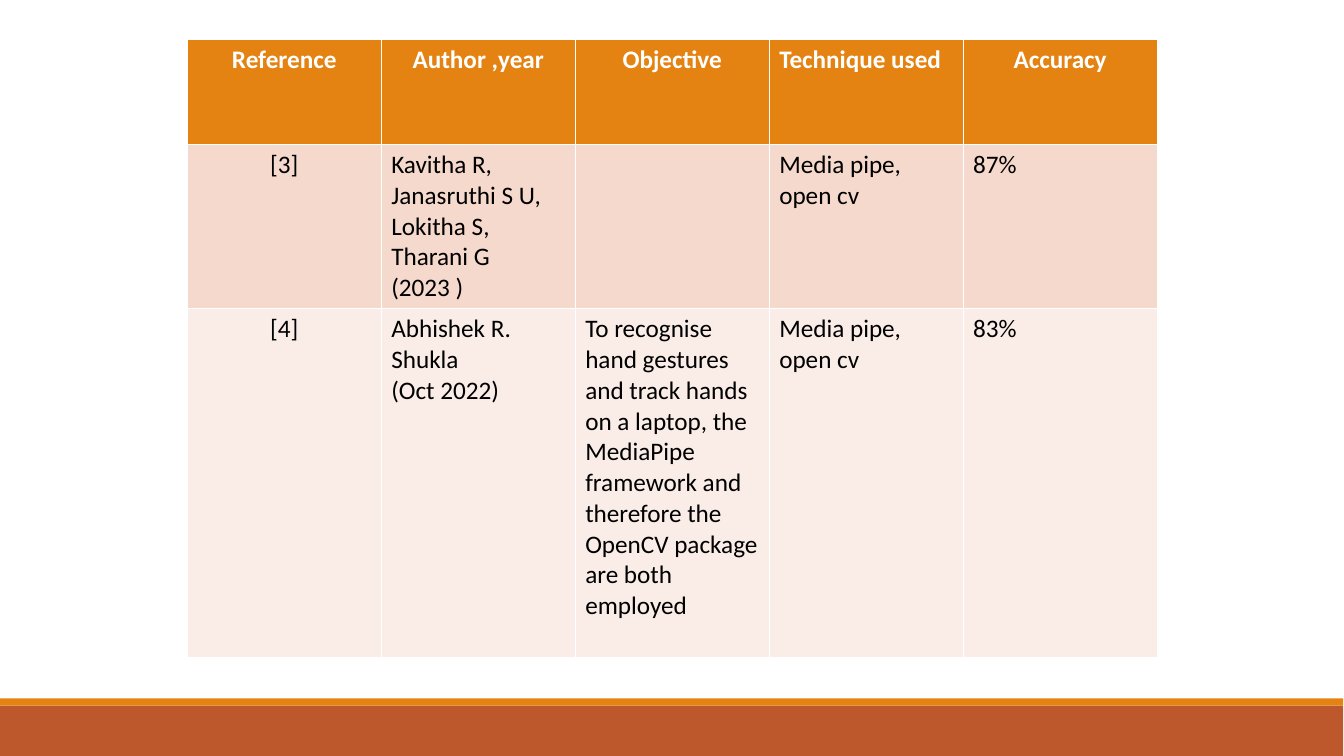
from dataclasses import dataclass

from lxml.etree import SubElement
from pptx import Presentation
from pptx.dml.color import RGBColor
from pptx.enum.shapes import MSO_SHAPE
from pptx.enum.text import PP_ALIGN
from pptx.oxml.ns import qn
from pptx.slide import Slide
from pptx.table import _Cell
from pptx.util import Cm, Pt

WHITE, BLACK = "FFFFFF", "000000"
ORANGE, RUST = "E48312", "BD582C"
THIN, THICK = 0.45, 1.47
WIDTH, HEIGHT = 33.88, 19.05
LEFT, TOP, COL = 4.72, 1.0, 4.89


@dataclass
class Bar:
    top: float
    height: float
    color: str


@dataclass
class Row:
    height: float
    fill: str
    texts: list[str]
    centred: set[int]
    ink: str = BLACK
    bold: bool = False
    upper: float = THIN
    lower: float = THIN


BARS = [Bar(17.78, 1.27, RUST), Bar(17.6, 0.18, ORANGE)]

ROWS = [
    Row(2.64, ORANGE,
        ["Reference", "Author ,year", "Objective", "Technique used", "Accuracy"],
        {0, 1, 2, 4}, ink=WHITE, bold=True, lower=THICK),
    Row(4.14, "F5D9CC",
        ["[3]", "Kavitha R, Janasruthi S U, Lokitha S, Tharani G\n(2023 )", "",
         "Media pipe, open cv", "87%"],
        {0}, upper=THICK),
    Row(8.79, "FAEDE7",
        ["[4]", "Abhishek R. Shukla\n(Oct 2022)",
         "To recognise hand gestures and track hands on a laptop, the MediaPipe "
         "framework and therefore the OpenCV package are both employed",
         "Media pipe, open cv", "83%"],
        {0}),
]


def rgb(code: str) -> RGBColor:
    return RGBColor.from_string(code)


def draw_bar(slide: Slide, bar: Bar) -> None:
    shape = slide.shapes.add_shape(
        MSO_SHAPE.RECTANGLE, Cm(0), Cm(bar.top), Cm(33.86), Cm(bar.height))
    shape.shadow.inherit = False
    shape.fill.solid()
    shape.fill.fore_color.rgb = rgb(bar.color)
    shape.line.fill.background()


def set_edges(cell: _Cell, row: Row) -> None:
    """Give the cell white borders; they must come before its fill."""
    props = cell._tc.get_or_add_tcPr()
    edges = {"lnL": THIN, "lnR": THIN, "lnT": row.upper, "lnB": row.lower}
    for tag, width in edges.items():
        line = SubElement(props, qn(f"a:{tag}"), w=str(Pt(width)))
        fill = SubElement(line, qn("a:solidFill"))
        SubElement(fill, qn("a:srgbClr"), val=WHITE)


def fill_cell(cell: _Cell, row: Row, col: int) -> None:
    set_edges(cell, row)
    cell.fill.solid()
    cell.fill.fore_color.rgb = rgb(row.fill)
    frame = cell.text_frame
    for index, text in enumerate(row.texts[col].splitlines()):
        para = frame.add_paragraph() if index else frame.paragraphs[0]
        para.alignment = PP_ALIGN.CENTER if col in row.centred else PP_ALIGN.LEFT
        run = para.add_run()
        run.text = text
        run.font.name = "Calibri"
        run.font.size = Pt(18)
        run.font.bold = row.bold
        run.font.color.rgb = rgb(row.ink)


def draw_table(slide: Slide, rows: list[Row]) -> None:
    count = len(rows[0].texts)
    height = sum(row.height for row in rows)
    table = slide.shapes.add_table(
        len(rows), count, Cm(LEFT), Cm(TOP), Cm(COL * count), Cm(height)).table
    for column in table.columns:
        column.width = Cm(COL)
    for index, row in enumerate(rows):
        table.rows[index].height = Cm(row.height)
        for col in range(count):
            fill_cell(table.cell(index, col), row, col)


def main() -> None:
    deck = Presentation()
    deck.slide_width, deck.slide_height = Cm(WIDTH), Cm(HEIGHT)
    slide = deck.slides.add_slide(deck.slide_layouts.get_by_name("Blank"))
    for bar in BARS:
        draw_bar(slide, bar)
    draw_table(slide, ROWS)
    deck.save("out.pptx")


if __name__ == "__main__":
    main()
